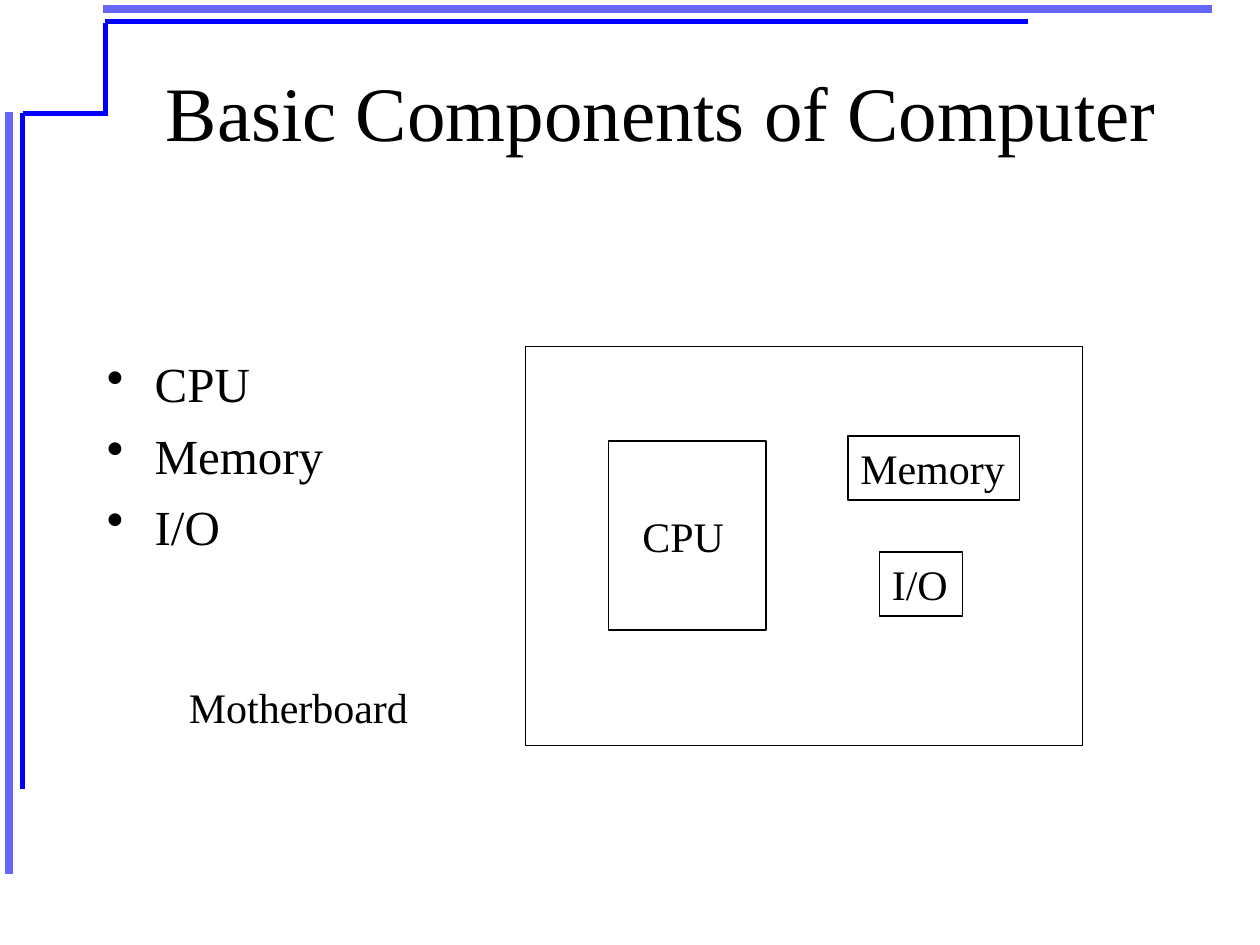
import pptx
import pptx.util
import pptx.dml.color
import pptx.enum.shapes
import pptx.enum.text
import pptx.oxml.ns
import lxml.etree

Inches, Pt = pptx.util.Inches, pptx.util.Pt
Align, Anchor = pptx.enum.text.PP_ALIGN, pptx.enum.text.MSO_ANCHOR
FONT, INK, PALE, DEEP = "Times New Roman", "000000", "6666FF", "0000FF"

TITLE = "Basic Components of Computer"
PARTS = ["CPU", "Memory", "I/O"]

# colour, width in points, start, end
RULES = [
    (PALE, 4.5, (0.07, 0.89), (0.07, 6.94)),
    (PALE, 4.5, (0.82, 0.07), (9.62, 0.07)),
    (DEEP, 3, (0.18, 0.9), (0.18, 6.26)),
    (DEEP, 3, (0.83, 0.17), (8.16, 0.17)),
    (DEEP, 3, (0.18, 0.9), (0.85, 0.9)),
    (DEEP, 3, (0.84, 0.92), (0.84, 0.18)),
]

# left, top, width, height, text
FRAMES = [
    (4.17, 2.75, 4.42, 3.17, ""),
    (4.83, 3.5, 1.25, 1.5, ""),
    (6.73, 3.46, 1.36, 0.51, "Memory"),
    (6.98, 4.38, 0.66, 0.51, "I/O"),
]
LABELS = [
    (5, 4, 0.85, 0.51, "CPU"),
    (1.4, 5.36, 2.68, 0.51, "Motherboard"),
]


def color(code):
    return pptx.dml.color.RGBColor.from_string(code)


def style(par, size, align=Align.LEFT):
    par.alignment = align
    par.font.name, par.font.size = FONT, Pt(size)
    par.font.color.rgb = color(INK)


def write(shape, text, wrap=False):
    frame = shape.text_frame
    frame.word_wrap = wrap
    frame.vertical_anchor = Anchor.TOP
    frame.text = text
    style(frame.paragraphs[0], 24)


def add_rule(slide, code, width, start, end):
    ends = [Inches(v) for v in start + end]
    rule = slide.shapes.add_connector(
        pptx.enum.shapes.MSO_CONNECTOR.STRAIGHT, *ends)
    rule.line.color.rgb = color(code)
    rule.line.width = Pt(width)
    lxml.etree.SubElement(rule._element.spPr, pptx.oxml.ns.qn("a:effectLst"))


def add_frame(slide, *box, text):
    shape = slide.shapes.add_shape(
        pptx.enum.shapes.MSO_SHAPE.RECTANGLE, *map(Inches, box))
    shape.shadow.inherit = False
    shape.fill.background()
    shape.line.color.rgb = color(INK)
    shape.line.width = Pt(0.75)
    if text:
        write(shape, text)


def add_list(slide, items, *box):
    frame = slide.shapes.add_textbox(*map(Inches, box)).text_frame
    frame.word_wrap = True
    frame.text = "\n".join(items)
    for i, par in enumerate(frame.paragraphs):
        props = par._p.get_or_add_pPr()
        props.set("marL", str(Inches(0.38)))
        props.set("indent", str(Inches(-0.38)))
        bullet = lxml.etree.SubElement(props, pptx.oxml.ns.qn("a:buChar"))
        bullet.set("char", "•")
        style(par, 28)
        par.space_before = Pt(7 if i else 0)


def main():
    deck = pptx.Presentation()
    deck.slide_width, deck.slide_height = Inches(10), Inches(7.5)
    slide = deck.slides.add_slide(deck.slide_layouts[5])

    for rule in RULES:
        add_rule(slide, *rule)

    title = slide.shapes.title
    title.left, title.top = Inches(1), Inches(0.25)
    title.width, title.height = Inches(8.5), Inches(1.25)
    title.text_frame.text = TITLE
    title.text_frame.vertical_anchor = Anchor.MIDDLE
    style(title.text_frame.paragraphs[0], 44, Align.CENTER)

    add_list(slide, PARTS, 0.75, 2.76, 4.17, 3.91)
    for *box, text in FRAMES:
        add_frame(slide, *box, text=text)
    for *box, text in LABELS:
        write(slide.shapes.add_textbox(*map(Inches, box)), text, wrap=True)

    deck.save("out.pptx")


if __name__ == "__main__":
    main()
